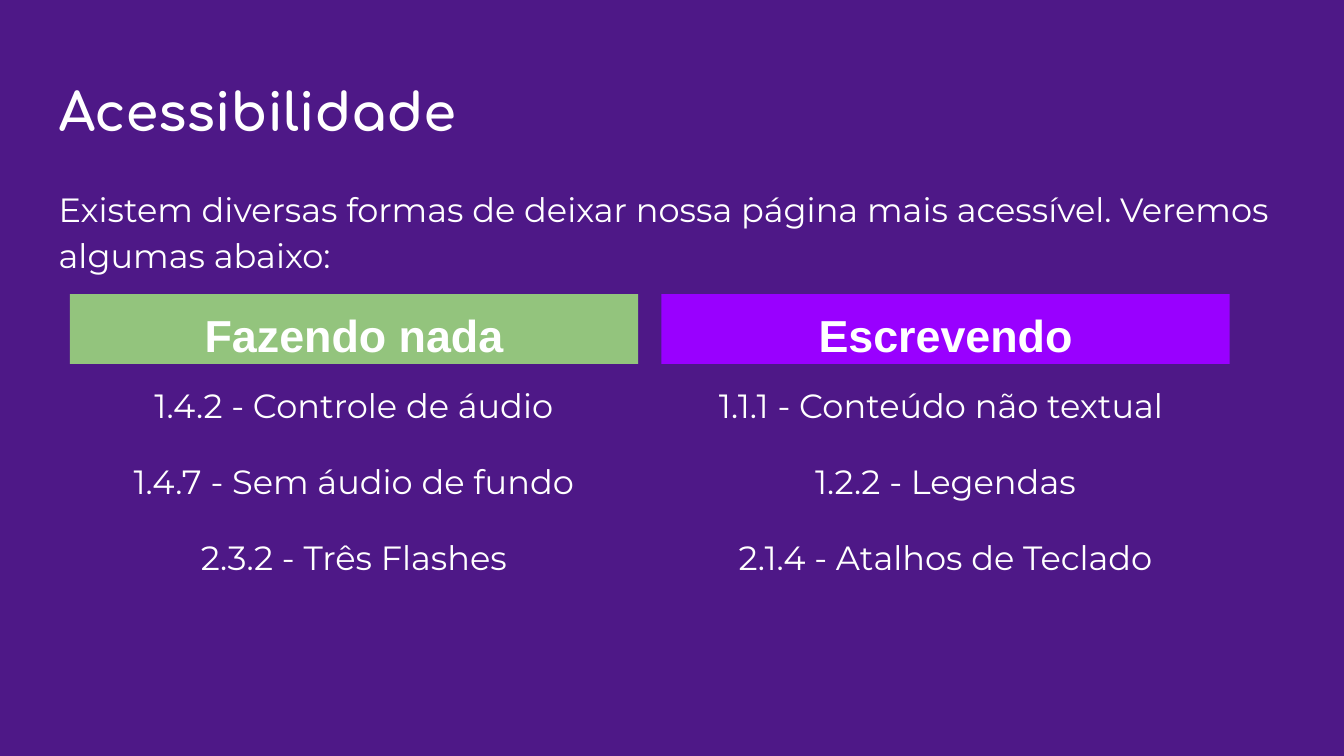
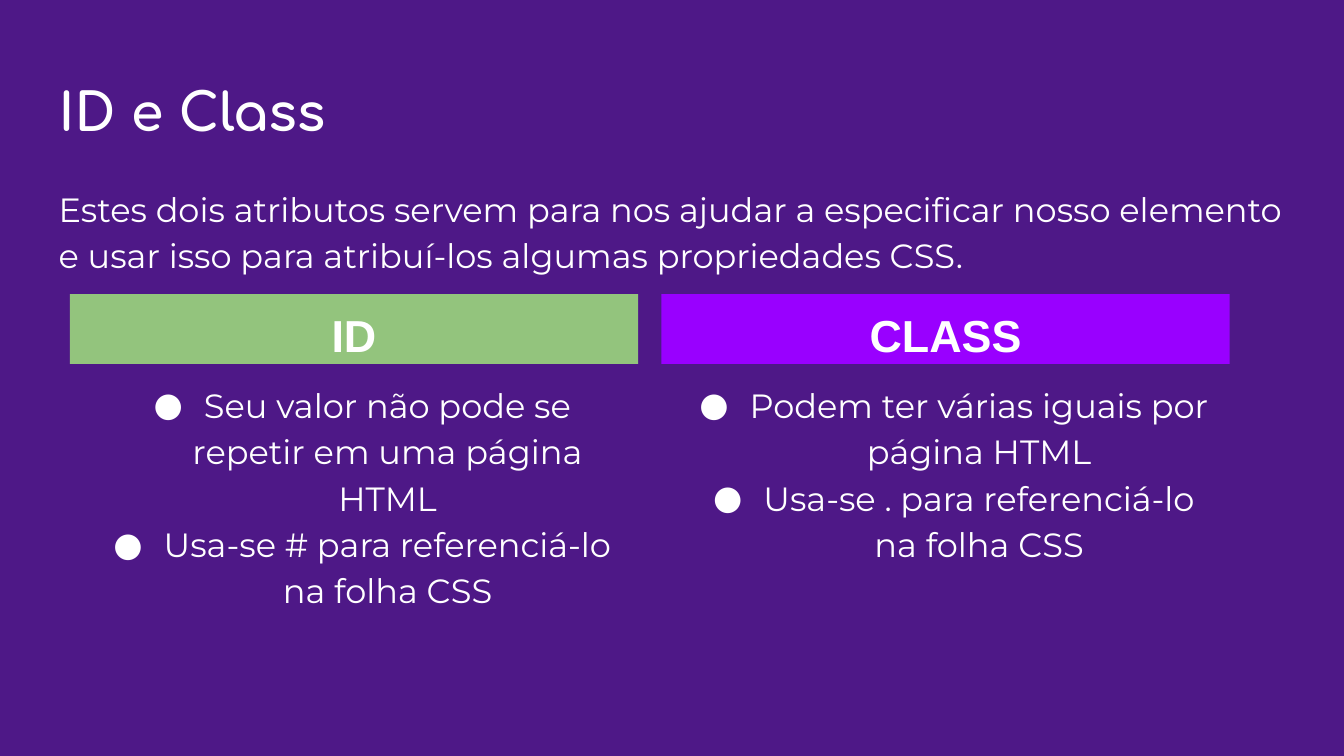
"""Builds two slides that each compare two topics side by side."""
import pptx
import pptx.util
import pptx.dml.color
import pptx.enum.shapes
import pptx.enum.text
import pptx.oxml.ns
import lxml.etree

Cm = pptx.util.Cm
Pt = pptx.util.Pt
RGB = pptx.dml.color.RGBColor
ALIGN = pptx.enum.text.PP_ALIGN

PURPLE = RGB(0x4E, 0x18, 0x87)
GREEN = RGB(0x93, 0xC4, 0x7D)
VIOLET = RGB(0x99, 0x00, 0xFF)
WHITE = RGB(0xFF, 0xFF, 0xFF)

LEFT, WIDE = Cm(0.86), Cm(23.67)
COLS = [(Cm(1.32), GREEN), (Cm(12.5), VIOLET)]
COL_W = Cm(10.74)

SLIDES = [
    ("Acessibilidade",
     "Existem diversas formas de deixar nossa página mais acessível. Veremos algumas abaixo:",
     False,
     [("Fazendo nada", ["1.4.2 - Controle de áudio", "1.4.7 - Sem áudio de fundo",
                        "2.3.2 - Três Flashes"]),
      ("Escrevendo", ["1.1.1 - Conteúdo não textual ", "1.2.2 - Legendas",
                      "2.1.4 - Atalhos de Teclado"])]),
    ("ID e Class",
     "Estes dois atributos servem para nos ajudar a especificar nosso elemento "
     "e usar isso para atribuí-los algumas propriedades CSS.",
     True,
     [("ID", ["Seu valor não pode se repetir em uma página HTML",
              "Usa-se # para referenciá-lo na folha CSS"]),
      ("CLASS", ["Podem ter várias iguais por página HTML",
                 "Usa-se . para referenciá-lo na folha CSS"])]),
]


def write(shape, lines, font, size, bold=False, align=ALIGN.CENTER, lead=1.0, gap=0):
    frame = shape.text_frame
    frame.word_wrap = True
    frame.auto_size = pptx.enum.text.MSO_AUTO_SIZE.NONE
    frame.vertical_anchor = pptx.enum.text.MSO_ANCHOR.TOP
    frame.margin_left = frame.margin_right = Cm(0.25)
    frame.margin_top = frame.margin_bottom = Cm(0.25)
    for i, line in enumerate(lines):
        para = frame.add_paragraph() if i else frame.paragraphs[0]
        para.alignment = align
        para.line_spacing = lead
        para.space_before = Pt(gap if i else 0)
        run = para.add_run()
        run.text = line
        run.font.name = font
        run.font.size = Pt(size)
        run.font.bold = bold
        run.font.color.rgb = WHITE
    return frame.paragraphs


def bullet(para):
    props = para._p.get_or_add_pPr()
    props.set("marL", str(Cm(1.27)))
    props.set("indent", str(Cm(-0.95)))
    qn = pptx.oxml.ns.qn
    tint = lxml.etree.SubElement(props, qn("a:buClr"))
    lxml.etree.SubElement(tint, qn("a:srgbClr")).set("val", str(WHITE))
    lxml.etree.SubElement(props, qn("a:buFont")).set("typeface", "Montserrat")
    lxml.etree.SubElement(props, qn("a:buChar")).set("char", "●")


deck = pptx.Presentation()
deck.slide_width, deck.slide_height = Cm(25.4), Cm(14.29)
back = deck.slide_master.background.fill
back.solid()
back.fore_color.rgb = PURPLE

for name, intro, dots, topics in SLIDES:
    slide = deck.slides.add_slide(deck.slide_layouts[5])
    shapes = slide.shapes
    title = shapes.title
    title.left, title.top, title.width, title.height = LEFT, Cm(1.24), WIDE, Cm(1.6)
    write(title, [name], "Comfortaa", 28, bold=True, align=ALIGN.LEFT)

    lead = shapes.add_textbox(LEFT, Cm(3.2), WIDE, Cm(2.34))
    write(lead, [intro], "Montserrat", 18, align=ALIGN.LEFT, lead=1.15)

    for (left, color), (head, items) in zip(COLS, topics):
        bar = shapes.add_shape(pptx.enum.shapes.MSO_SHAPE.RECTANGLE,
                               left, Cm(5.56), COL_W, Cm(1.32))
        bar.shadow.inherit = False
        bar.fill.solid()
        bar.fill.fore_color.rgb = color
        bar.line.fill.background()
        write(bar, [head], "Arial", 24, bold=True)

        body = shapes.add_textbox(left, Cm(6.91), COL_W, Cm(6.38))
        paras = write(body, items, "Montserrat", 18, lead=1.15, gap=0 if dots else 16)
        if dots:
            for para in paras:
                bullet(para)

deck.save("out.pptx")
